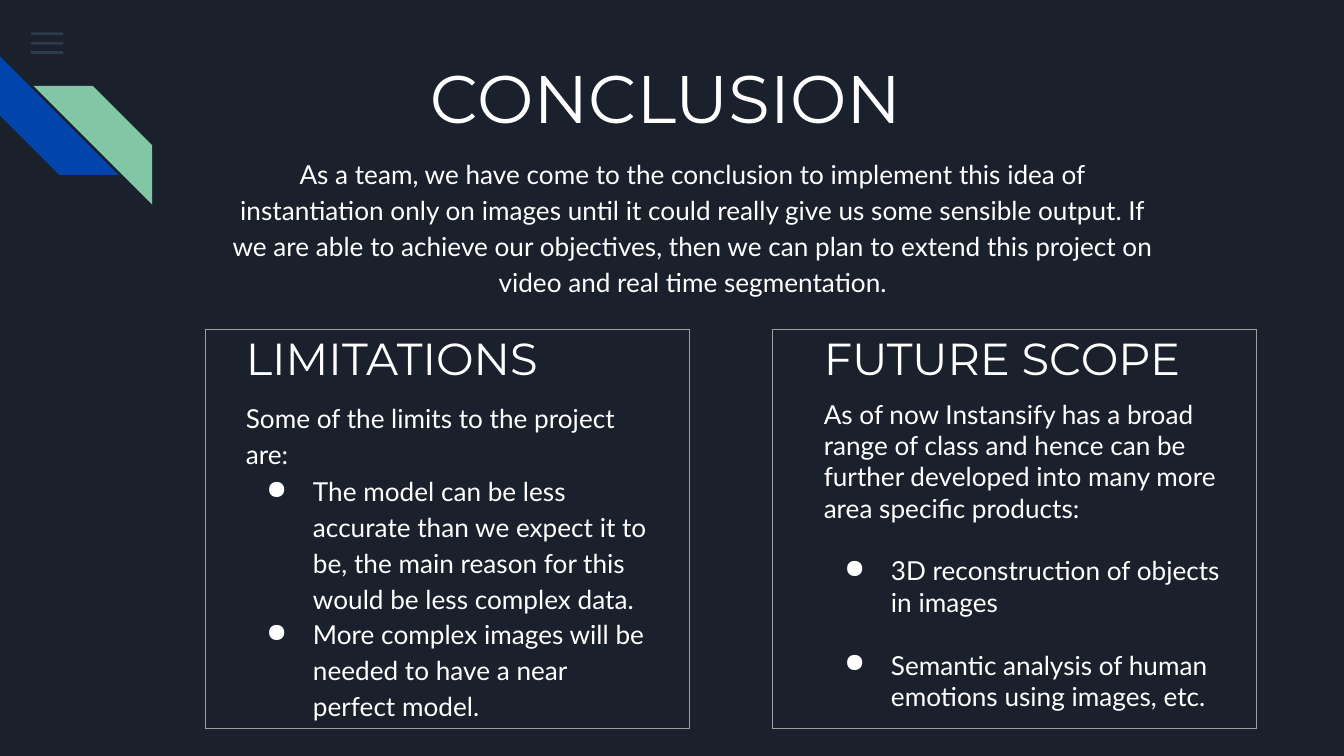
import lxml.etree
import pptx
import pptx.dml.color
import pptx.enum.shapes
import pptx.enum.text
import pptx.oxml.ns
import pptx.util

Pt = pptx.util.Pt
qn = pptx.oxml.ns.qn
SHAPE = pptx.enum.shapes.MSO_SHAPE
CENTER = pptx.enum.text.PP_ALIGN.CENTER

COLORS = {
    "background": "1B212C",
    "text": "FFFFFF",
    "menu": "55688B",
    "blue": "0145AC",
    "green": "82C7A5",
    "border": "9E9E9E",
}
HEADING_FONT = "Montserrat"
BODY_FONT = "Lato"
BODY_SIZE = 14
BLANK_LINE = 16.8  # height of one body line


def rgb(name):
    return pptx.dml.color.RGBColor.from_string(COLORS[name])


def set_values(target, values):
    for name, value in values.items():
        setattr(target, name, value)


def add_filled_shape(slide, kind, left, top, width, height, color, rotation=0, opacity=100):
    shape = slide.shapes.add_shape(kind, Pt(left), Pt(top), Pt(width), Pt(height))
    shape.shadow.inherit = False
    shape.rotation = rotation
    shape.line.fill.background()
    shape.fill.solid()
    shape.fill.fore_color.rgb = rgb(color)
    if opacity < 100:
        color_element = shape.fill._xPr.find(qn("a:solidFill"))[0]
        alpha = lxml.etree.SubElement(color_element, qn("a:alpha"))
        alpha.set("val", str(opacity * 1000))


def add_bullet(paragraph):
    properties = paragraph._p.get_or_add_pPr()
    properties.set("marL", str(Pt(36)))
    properties.set("indent", str(-Pt(25)))
    bullet = lxml.etree.SubElement(properties, qn("a:buChar"))
    bullet.set("char", "●")


def add_text(slide, left, top, width, height, items, size=BODY_SIZE, font=BODY_FONT):
    """Each item is (text, is_bullet, paragraph format values)."""
    box = slide.shapes.add_textbox(Pt(left), Pt(top), Pt(width), Pt(height))
    frame = box.text_frame
    frame.word_wrap = True
    for index, (text, is_bullet, values) in enumerate(items):
        paragraph = frame.add_paragraph() if index else frame.paragraphs[0]
        if is_bullet:
            add_bullet(paragraph)
        set_values(paragraph, values)
        run = paragraph.add_run()
        run.text = text
        set_values(run.font, {"name": font, "size": Pt(size)})
        run.font.color.rgb = rgb("text")
    insets = ("margin_left", "margin_top", "margin_right", "margin_bottom")
    set_values(frame, dict.fromkeys(insets, Pt(7.2)))


def add_heading(slide, left, top, width, height, text, size):
    add_text(slide, left, top, width, height, [(text, False, {})], size, HEADING_FONT)


def add_frame_table(slide, left, top, width, height):
    table = slide.shapes.add_table(1, 1, Pt(left), Pt(top), Pt(width), Pt(height)).table
    set_values(table, {"first_row": False, "horz_banding": False})
    cell = table.cell(0, 0)
    properties = cell._tc.get_or_add_tcPr()
    for side in ("a:lnL", "a:lnR", "a:lnT", "a:lnB"):
        line = lxml.etree.SubElement(properties, qn(side))
        line.set("w", str(Pt(0.75)))
        fill = lxml.etree.SubElement(line, qn("a:solidFill"))
        lxml.etree.SubElement(fill, qn("a:srgbClr")).set("val", COLORS["border"])
    cell.fill.background()


def main():
    presentation = pptx.Presentation()
    set_values(presentation, {"slide_width": Pt(720), "slide_height": Pt(405)})
    slide = presentation.slides.add_slide(presentation.slide_layouts[6])
    slide.background.fill.solid()
    slide.background.fill.fore_color.rgb = rgb("background")

    # Menu icon and corner stripes
    for row in range(3):
        add_filled_shape(slide, SHAPE.RECTANGLE, 16.6, 17.4 + 5 * row, 17.3, 1.5,
                         "menu", opacity=36)
    add_filled_shape(slide, SHAPE.DIAGONAL_STRIPE, 0, 30.2, 63.5, 63.5, "blue", 270)
    add_filled_shape(slide, SHAPE.DIAGONAL_STRIPE, 18, 46.1, 63.5, 63.5, "green", 90)

    # Title and summary
    add_heading(slide, 223.2, 23, 273, 46, "CONCLUSION", 36)
    summary = (
        "As a team, we have come to the conclusion to implement this idea of "
        "instantiation only on images until it could really give us some sensible "
        "output. If we are able to achieve our objectives, then we can plan to "
        "extend this project on video and real time segmentation."
    )
    add_text(slide, 114.5, 74.9, 513.4, 99.4,
             [(summary, False, {"alignment": CENTER, "line_spacing": 1.15})])

    # Limitations
    loose = {"line_spacing": 1.14}
    add_heading(slide, 124.6, 170, 178.6, 41, "LIMITATIONS", 24)
    add_text(slide, 124.6, 206, 233.3, 179.3, [
        ("Some of the limits to the project are:", False, loose),
        ("The model can be less accurate than we expect it to be, the main reason "
         "for this would be less complex data.", True, {**loose, "space_before": Pt(1)}),
        ("More complex images will be needed to have a near perfect model.", True, loose),
    ])

    # Future scope
    spaced = {"space_before": Pt(BLANK_LINE)}
    add_heading(slide, 434.2, 170, 240, 41, "FUTURE SCOPE", 24)
    add_text(slide, 434.2, 206, 238.3, 184, [
        ("As of now Instansify has a broad range of class and hence can be further "
         "developed into many more area specific products:", False, {}),
        ("3D reconstruction of objects in images", True, spaced),
        ("Semantic analysis of human emotions using images, etc.", True, spaced),
    ])

    # Frames around the two columns
    for left in (110.2, 414):
        add_frame_table(slide, left, 176.4, 259.2, 213.8)

    presentation.save("out.pptx")


if __name__ == "__main__":
    main()
